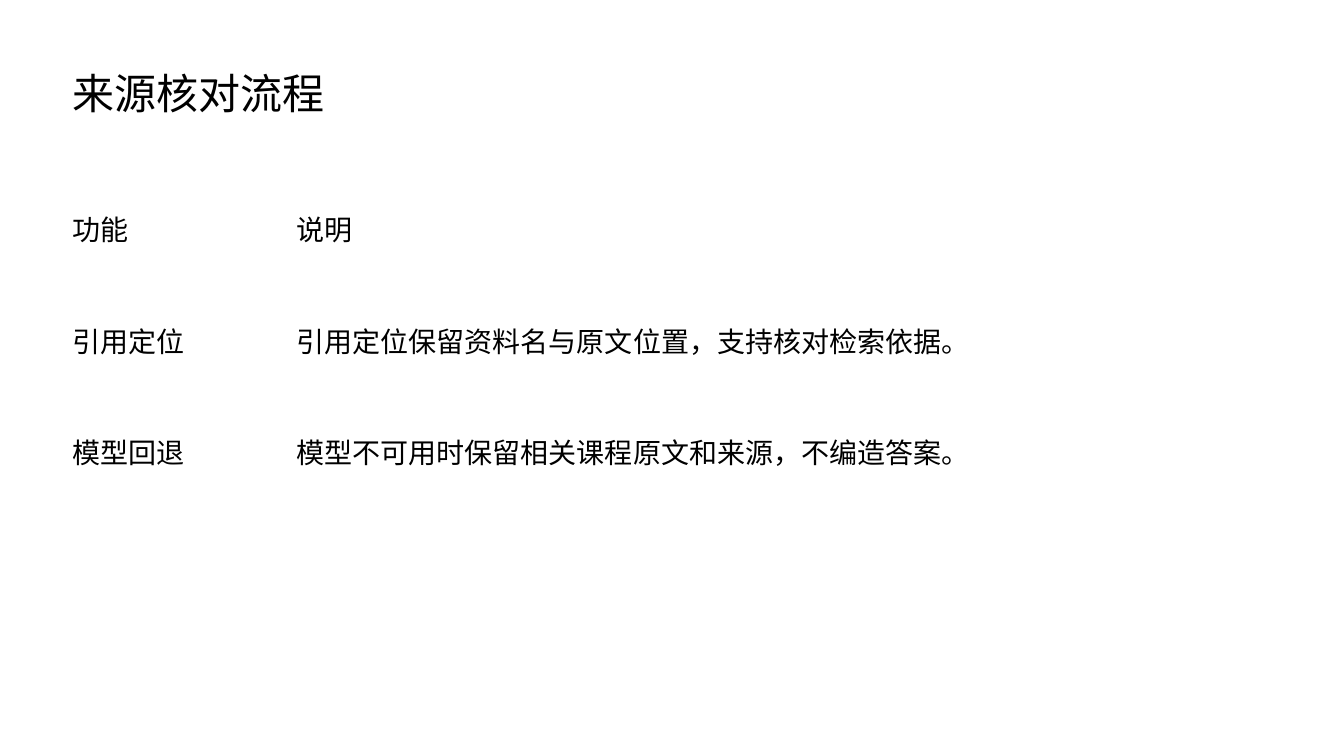
from pptx import Presentation
from pptx.dml.color import RGBColor
from pptx.enum import text
from pptx.util import Inches, Pt

COLORS = {"text": "000000"}
FONT = "Calibri"
LEFT, WIDTH = 0.62, 12.08
ROWS = [
    ("功能", "说明"),
    ("引用定位", "引用定位保留资料名与原文位置，支持核对检索依据。"),
    ("模型回退", "模型不可用时保留相关课程原文和来源，不编造答案。"),
]


def style_paragraph(p, size):
    p.alignment = text.PP_ALIGN.LEFT
    p.font.name = FONT
    p.font.size = Pt(size)
    p.font.bold = False
    p.font.color.rgb = RGBColor.from_string(COLORS["text"])


def add_title(s, title, left, top, width, height):
    sp = s.shapes.title
    sp.left, sp.top = Inches(left), Inches(top)
    sp.width, sp.height = Inches(width), Inches(height)
    tf = sp.text_frame
    tf.text = title
    tf.word_wrap = True
    tf.auto_size = text.MSO_AUTO_SIZE.NONE
    tf.vertical_anchor = text.MSO_ANCHOR.TOP
    style_paragraph(tf.paragraphs[0], 30)


def add_feature_table(s, rows, left, top, width, height, label_width):
    table = s.shapes.add_table(
        len(rows), 2, Inches(left), Inches(top), Inches(width), Inches(height)
    ).table
    table.first_row = False
    table.horz_banding = False
    table.columns[0].width = Inches(label_width)
    table.columns[1].width = Inches(width - label_width)
    for r, row in enumerate(rows):
        for c, value in enumerate(row):
            cell = table.cell(r, c)
            cell.text = value
            cell.fill.background()
            cell.vertical_anchor = text.MSO_ANCHOR.TOP
            style_paragraph(cell.text_frame.paragraphs[0], 20)


def main():
    prs = Presentation()
    prs.slide_width, prs.slide_height = Inches(13.33), Inches(7.5)
    s = prs.slides.add_slide(prs.slide_layouts[5])
    add_title(s, "来源核对流程", LEFT, 0.62, WIDTH, 0.9)
    add_feature_table(s, ROWS, LEFT, 2.01, WIDTH, 3.33, 2.22)
    prs.save("out.pptx")


if __name__ == "__main__":
    main()
